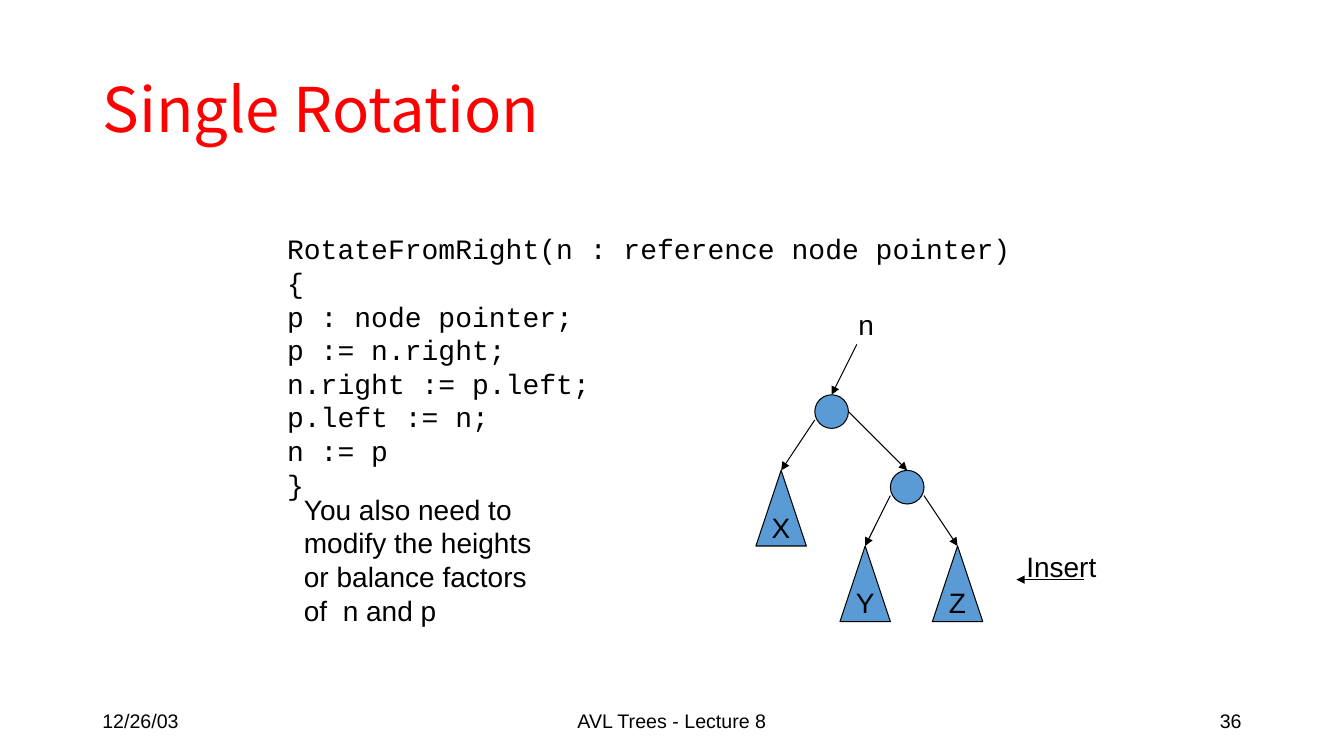
from pptx import Presentation
from pptx.dml.color import RGBColor
from pptx.enum.shapes import MSO_CONNECTOR as CONNECTOR, MSO_SHAPE as SHAPE
from pptx.enum.text import MSO_ANCHOR as ANCHOR, MSO_AUTO_SIZE as AUTO, PP_ALIGN as ALIGN
from pptx.oxml.ns import qn
from pptx.util import Pt
from lxml.etree import SubElement

PX = 9525
BLACK, RED, BLUE = "000000", "FF0000", "5B9BD5"

TITLE = "Single Rotation"
CODE = [
    "RotateFromRight(n : reference node pointer) {",
    "p : node pointer;",
    "p := n.right;",
    "n.right := p.left;",
    "p.left := n;",
    "n := p",
    "}",
]
REMINDER = "You also need to modify the heights or balance factors of  n and p"
FOOTERS = [
    ("12/26/03", 88, 288, ALIGN.LEFT),
    ("AVL Trees - Lecture 8", 424, 432, ALIGN.CENTER),
    ("36", 904, 288, ALIGN.RIGHT),
]
NODES = [(776, 376), (848, 448)]
SUBTREES = [("X", 720, 448), ("Y", 800, 520), ("Z", 888, 520)]
ARROWS = [
    (816, 328, 792, 376),
    (776, 400, 744, 448),
    (808, 392, 864, 448),
    (848, 472, 824, 520),
    (880, 472, 912, 520),
    (1032, 552, 968, 552),
]
LABELS = [("n", 808, 288, 35), ("Insert", 968, 519, 96)]


def color(value):
    return RGBColor.from_string(value)


def write(frame, lines, size, font="Arial", align=ALIGN.LEFT, ink=BLACK):
    frame.text = "\n".join(lines)
    for paragraph in frame.paragraphs:
        paragraph.alignment = align
        paragraph.font.size = Pt(size)
        paragraph.font.name = font
        paragraph.font.color.rgb = color(ink)


def add_text(box, lines, size, **style):
    frame = slide.shapes.add_textbox(*(PX * n for n in box)).text_frame
    frame.word_wrap = True
    write(frame, lines, size, **style)
    return frame


def add_part(kind, *box):
    part = slide.shapes.add_shape(kind, *(PX * n for n in box))
    part.shadow.inherit = False
    part.fill.solid()
    part.fill.fore_color.rgb = color(BLUE)
    part.line.color.rgb = color(BLACK)
    part.line.width = Pt(0.75)
    return part


def add_arrow(*ends):
    arrow = slide.shapes.add_connector(CONNECTOR.STRAIGHT, *(PX * n for n in ends))
    arrow.line.color.rgb = color(BLACK)
    arrow.line.width = Pt(0.75)
    SubElement(arrow.line._get_or_add_ln(), qn("a:tailEnd"), type="triangle")
    SubElement(arrow._element.spPr, qn("a:effectLst"))


deck = Presentation()
deck.slide_width, deck.slide_height = 1280 * PX, 720 * PX
slide = deck.slides.add_slide(deck.slide_layouts[5])

heading = slide.shapes.title
heading.left, heading.top, heading.width, heading.height = (PX * n for n in (88, 38, 1104, 139))
heading.text_frame.auto_size = AUTO.NONE
heading.text_frame.vertical_anchor = ANCHOR.MIDDLE
write(heading.text_frame, [TITLE], 44, font="Noto Sans CJK KR", ink=RED)
heading.text_frame.paragraphs[0].line_spacing = 0.9

for footer, left, width, align in FOOTERS:
    add_text((left, 667, width, 38), [footer], 14, align=align).vertical_anchor = ANCHOR.MIDDLE

add_text((264, 216, 736, 233), CODE, 20, font="Courier New")

for left, top in NODES:
    add_part(SHAPE.OVAL, left, top, 32, 32)

for subtree, left, top in SUBTREES:
    frame = add_part(SHAPE.ISOSCELES_TRIANGLE, left, top, 48, 72).text_frame
    frame.word_wrap = False
    frame.vertical_anchor = ANCHOR.MIDDLE
    write(frame, [subtree], 20, align=ALIGN.CENTER)

for ends in ARROWS:
    add_arrow(*ends)

for label, left, top, width in LABELS:
    add_text((left, top, width, 41), [label], 20)

add_text((280, 464, 256, 137), [REMINDER], 20)

deck.save("out.pptx")
